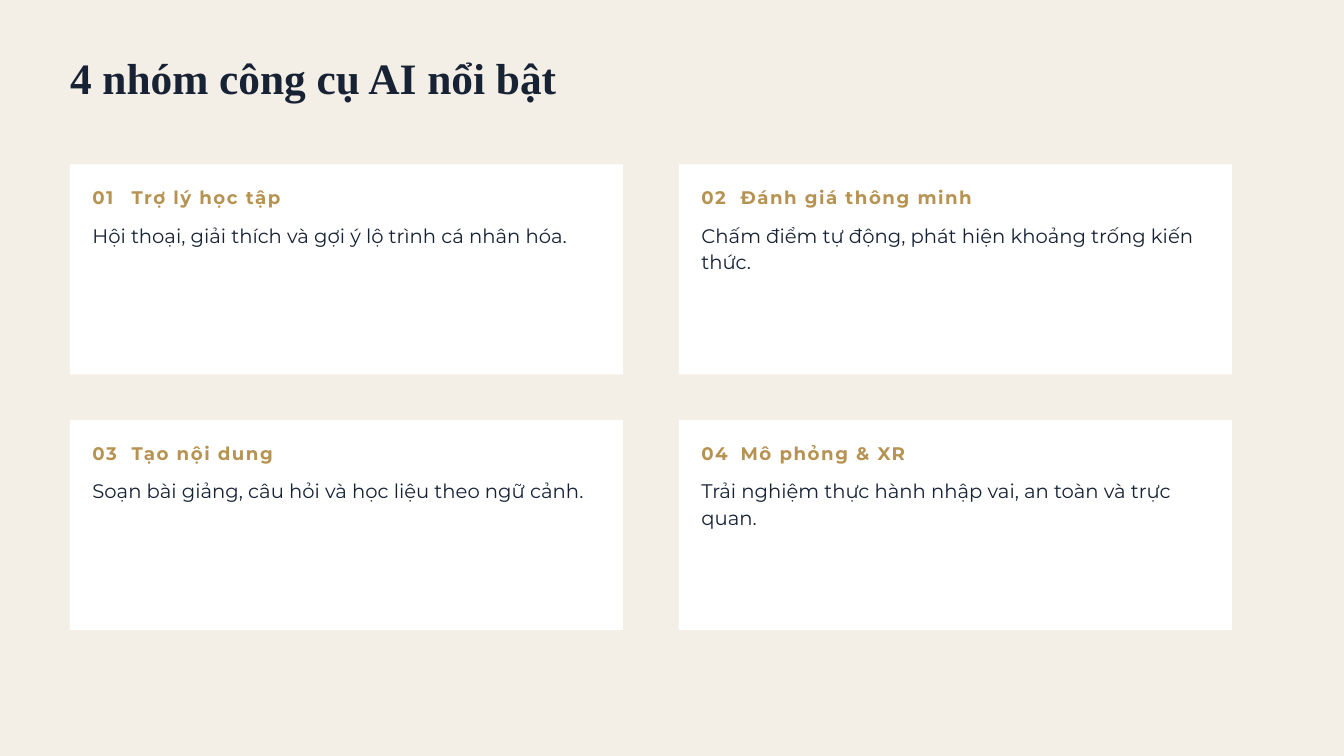
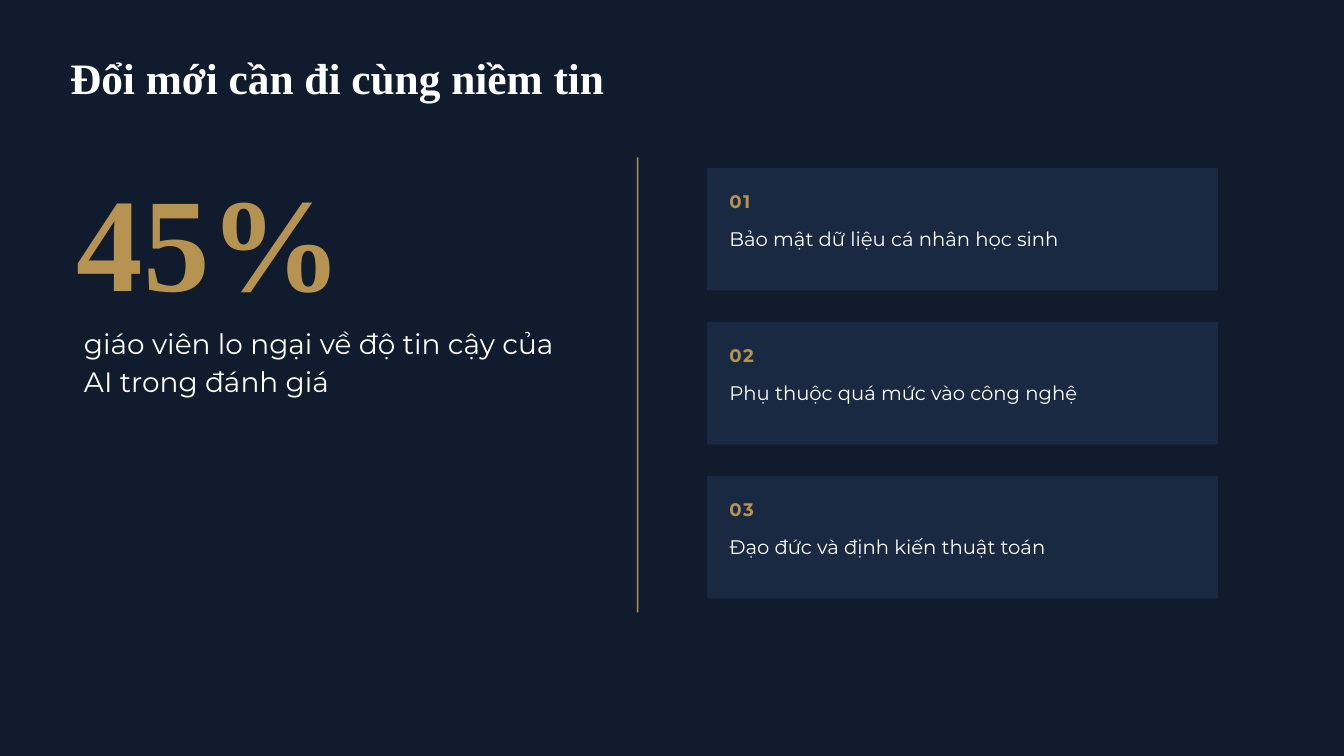
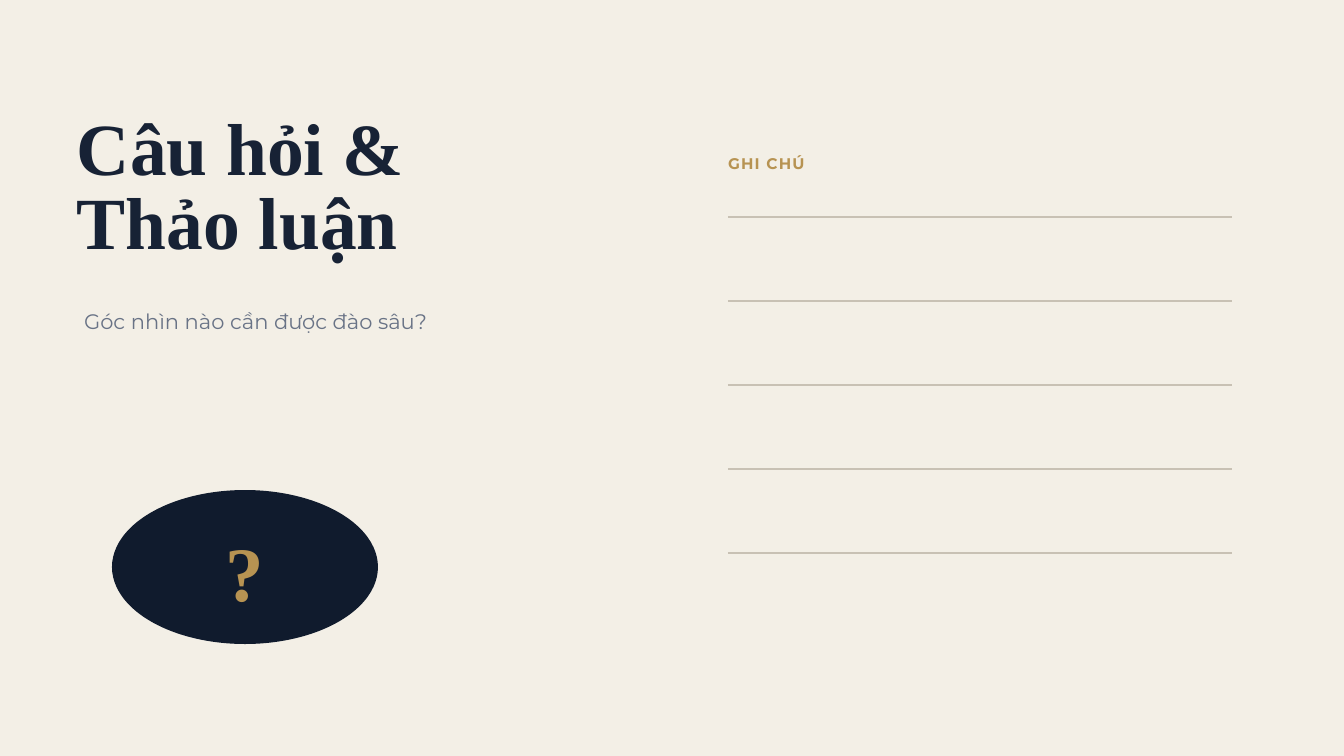
from dataclasses import dataclass

from lxml import etree
from pptx import Presentation
from pptx import util as u
from pptx.dml.color import RGBColor
from pptx.enum import shapes, text
from pptx.oxml import ns

PX = 9525  # EMU in one pixel at 96 px to the inch
TITLE_ONLY = 5
SERIF, SANS = "Times New Roman", "Montserrat"


@dataclass(frozen=True)
class Style:
    font: str
    size: float
    leading: float
    bold: bool = False
    tracking: float = 0


@dataclass(frozen=True)
class Theme:
    cream: str = "F3EFE6"
    navy: str = "101B2D"
    panel: str = "192941"
    ink: str = "172235"
    white: str = "FFFFFF"
    gold: str = "B79352"
    muted: str = "697386"
    ruling: str = "C8C1B4"
    title: Style = Style(SERIF, 46.5, 47.4, True)
    closing: Style = Style(SERIF, 78.8, 80.3, True)
    figure: Style = Style(SERIF, 142.5, 145.3, True)
    mark: Style = Style(SERIF, 82.5, 115.5, True)
    label: Style = Style(SANS, 19.5, 27.3, True, 1.6)
    body: Style = Style(SANS, 21, 28.4)
    caption: Style = Style(SANS, 30, 40.5)
    prompt: Style = Style(SANS, 22.5, 30.4)
    notes: Style = Style(SANS, 16.5, 23.1, True, 1.3)


THEME = Theme()

TOOLS = [
    ("01\tTrợ lý học tập", "Hội thoại, giải thích và gợi ý lộ trình cá nhân hóa."),
    ("02\tĐánh giá thông minh", "Chấm điểm tự động, phát hiện khoảng trống kiến thức."),
    ("03\tTạo nội dung", "Soạn bài giảng, câu hỏi và học liệu theo ngữ cảnh."),
    ("04\tMô phỏng & XR", "Trải nghiệm thực hành nhập vai, an toàn và trực quan."),
]
RISKS = [
    ("01", "Bảo mật dữ liệu cá nhân học sinh"),
    ("02", "Phụ thuộc quá mức vào công nghệ"),
    ("03", "Đạo đức và định kiến thuật toán"),
]


def px(*lengths):
    return [u.Emu(length * PX) for length in lengths]


def set_all(target, values):
    for name, value in values.items():
        setattr(target, name, value)


def add_tab_stop(para, position):
    stops = etree.SubElement(para._p.get_or_add_pPr(), ns.qn("a:tabLst"))
    etree.SubElement(stops, ns.qn("a:tab"), pos=str(position * PX), algn="l")


def write(box, content, style, color, align=text.PP_ALIGN.LEFT,
          anchor=text.MSO_ANCHOR.TOP):
    """Fill a box with one paragraph for each line of content."""
    frame = box.text_frame
    set_all(frame, {"margin_left": 0, "margin_top": 0, "margin_right": 0,
                    "margin_bottom": 0, "word_wrap": True,
                    "auto_size": text.MSO_AUTO_SIZE.NONE,
                    "vertical_anchor": anchor})
    for index, line in enumerate(content.split("\n")):
        para = frame.add_paragraph() if index else frame.paragraphs[0]
        set_all(para, {"alignment": align, "space_before": u.Pt(0),
                       "line_spacing": u.Pt(style.leading)})
        if "\t" in line:
            add_tab_stop(para, 56)
        span = para.add_run()
        span.text = line
        set_all(span.font, {"name": style.font, "size": u.Pt(style.size),
                            "bold": style.bold})
        span.font.color.rgb = RGBColor.from_string(color)
        if style.tracking:
            span._r.get_or_add_rPr().set("spc", str(round(style.tracking * 100)))


def add_text(parent, area, content, style, color, **options):
    write(parent.shapes.add_textbox(*px(*area)), content, style, color, **options)


def add_block(parent, area, color, kind=shapes.MSO_SHAPE.RECTANGLE):
    block = parent.shapes.add_shape(kind, *px(*area))
    block.shadow.inherit = False
    block.fill.solid()
    block.fill.fore_color.rgb = RGBColor.from_string(color)
    block.line.fill.background()


def add_card(page, area, label, body, fill, color):
    left, top, width, _ = area
    card = page.shapes.add_group_shape()
    add_block(card, area, fill)
    add_text(card, (left + 32, top + 26, width - 64, 35), label, THEME.label, THEME.gold)
    add_text(card, (left + 32, top + 80, width - 64, 72), body, THEME.body, color)


def add_ruling(page, left, right, y):
    line = page.shapes.add_connector(shapes.MSO_CONNECTOR.STRAIGHT,
                                     *px(left, y, right, y))
    line.line.color.rgb = RGBColor.from_string(THEME.ruling)
    line.line.width = u.Pt(1.5)
    etree.SubElement(line._element.spPr, ns.qn("a:effectLst"))


def add_page(deck, background, title, color, style=THEME.title,
             area=(100, 84, 1720, 66)):
    page = deck.slides.add_slide(deck.slide_layouts[TITLE_ONLY])
    page.background.fill.solid()
    page.background.fill.fore_color.rgb = RGBColor.from_string(background)
    box = page.shapes.title
    set_all(box, dict(zip(("left", "top", "width", "height"), px(*area))))
    write(box, title, style, color)
    return page


def add_tools_page(deck):
    page = add_page(deck, THEME.cream, "4 nhóm công cụ AI nổi bật", THEME.ink)
    for index, (label, body) in enumerate(TOOLS):
        row, column = divmod(index, 2)
        area = (100 + 870 * column, 235 + 365 * row, 790, 300)
        add_card(page, area, label, body, THEME.white, THEME.ink)


def add_trust_page(deck):
    page = add_page(deck, THEME.navy, "Đổi mới cần đi cùng niềm tin", THEME.white)
    add_text(page, (110, 260, 760, 203), "45%", THEME.figure, THEME.gold)
    add_text(page, (120, 461, 690, 106),
             "giáo viên lo ngại về độ tin cậy của AI trong đánh giá",
             THEME.caption, THEME.white)
    add_block(page, (910, 225, 2, 650), THEME.gold)
    for row, (label, body) in enumerate(RISKS):
        add_card(page, (1010, 240 + 220 * row, 730, 175), label, body,
                 THEME.panel, THEME.white)


def add_discussion_page(deck):
    page = add_page(deck, THEME.cream, "Câu hỏi &\nThảo luận", THEME.ink,
                    THEME.closing, (110, 164, 760, 219))
    add_text(page, (120, 436, 640, 39), "Góc nhìn nào cần được đào sâu?",
             THEME.prompt, THEME.muted)
    add_text(page, (1040, 216, 500, 30), "GHI CHÚ", THEME.notes, THEME.gold)
    for row in range(5):
        add_ruling(page, 1040, 1760, 310 + 120 * row)
    badge = page.shapes.add_group_shape()
    add_block(badge, (160, 700, 380, 220), THEME.navy, shapes.MSO_SHAPE.OVAL)
    add_text(badge, (160, 688, 380, 232), "?", THEME.mark, THEME.gold,
             align=text.PP_ALIGN.CENTER, anchor=text.MSO_ANCHOR.MIDDLE)


def main():
    deck = Presentation()
    deck.slide_width, deck.slide_height = px(1920, 1080)
    add_tools_page(deck)
    add_trust_page(deck)
    add_discussion_page(deck)
    deck.save("out.pptx")


if __name__ == "__main__":
    main()
